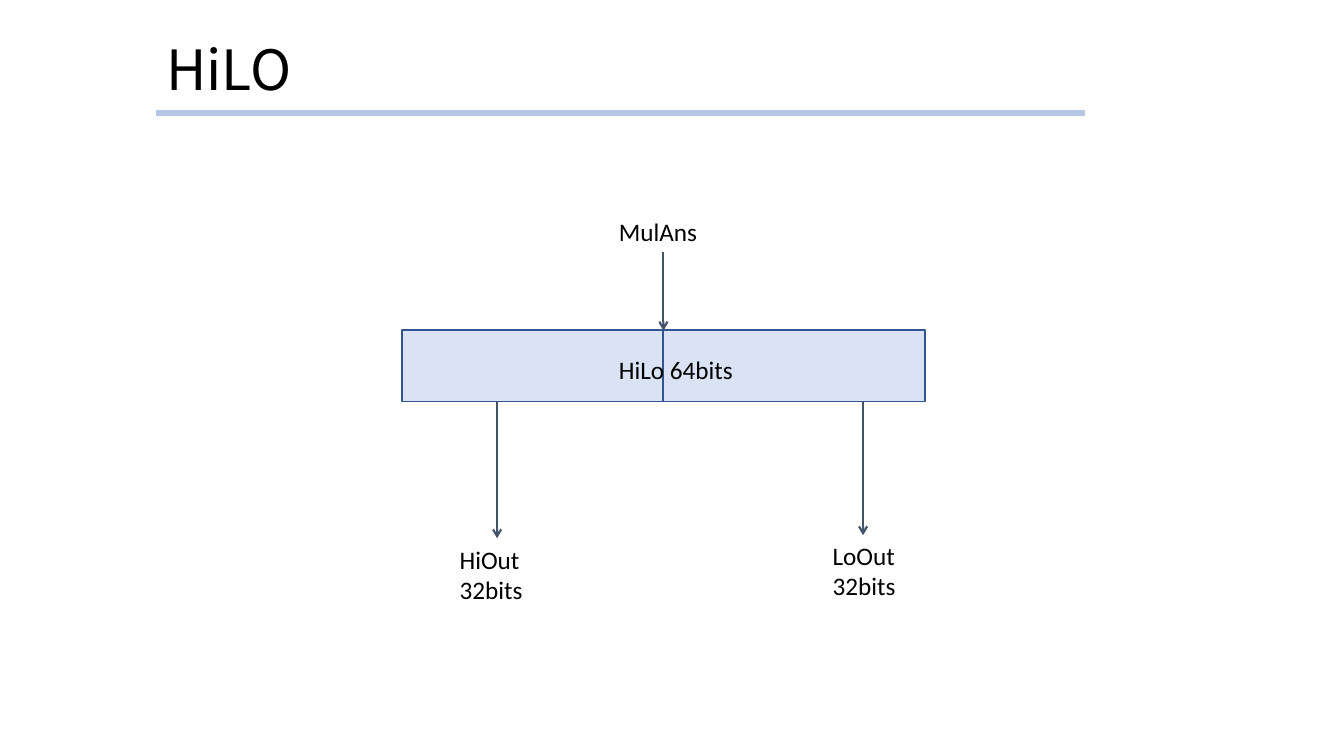
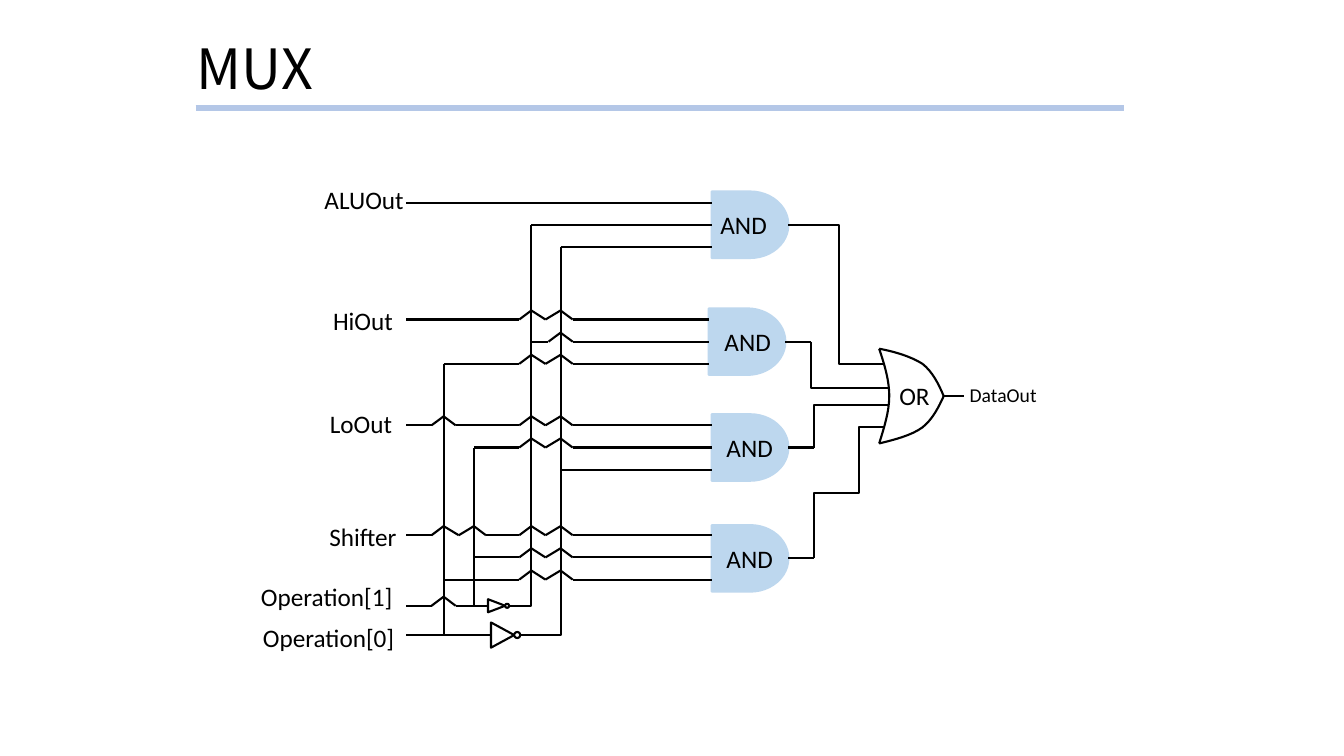
from dataclasses import dataclass
from itertools import pairwise

import lxml.etree
import pptx
import pptx.dml.color
import pptx.enum.shapes
import pptx.enum.text
import pptx.oxml.ns
import pptx.presentation
import pptx.shapes.autoshape
import pptx.shapes.connector
import pptx.slide
import pptx.text.text
import pptx.util

RGBColor = pptx.dml.color.RGBColor
Shape = pptx.shapes.autoshape.Shape
Connector = pptx.shapes.connector.Connector
Kind = pptx.enum.shapes.MSO_SHAPE
Link = pptx.enum.shapes.MSO_CONNECTOR
Align = pptx.enum.text.PP_ALIGN
Anchor = pptx.enum.text.MSO_ANCHOR
AutoSize = pptx.enum.text.MSO_AUTO_SIZE
Slide = pptx.slide.Slide
Deck = pptx.presentation.Presentation
Point = tuple[int, int]
qn = pptx.oxml.ns.qn

EMU_PER_PX = 9144  # 100 px to the inch
SLIDE_WIDTH, SLIDE_HEIGHT = 1333, 750
TITLE_ONLY = 5

BLACK = RGBColor(0x00, 0x00, 0x00)
WHITE = RGBColor(0xFF, 0xFF, 0xFF)
RULE_BLUE = RGBColor(0xB4, 0xC7, 0xE7)
REGISTER_FILL = RGBColor(0xDA, 0xE3, 0xF3)
REGISTER_LINE = RGBColor(0x32, 0x54, 0x91)
ARROW_GREY = RGBColor(0x44, 0x54, 0x6A)
GATE_BLUE = RGBColor(0xBD, 0xD7, 0xEE)

TITLE_FONT, BODY_FONT = "Noto Sans CJK SC", "Calibri"
TITLE_SIZE, BODY_SIZE, WIRE_WIDTH = 39.6, 18, 1.5

HOP_HALF_WIDTH, HOP_HEIGHT, HOP_MERGE_GAP = 12, 9, 30
INPUT_X, INPUT_STEP = 403, 22
GATE_WIDTH, GATE_HEIGHT, STUB = 76, 66, 25


@dataclass(frozen=True)
class Label:
    text: str
    left: int
    top: int
    width: int
    height: int = 40
    align: Align = Align.LEFT
    size: int = BODY_SIZE


@dataclass(frozen=True)
class Column:
    """A vertical wire; rows between top and hop_end hop over it."""
    x: int
    top: int
    bottom: int
    hop_end: int


@dataclass(frozen=True)
class Inverter:
    left: int
    middle: int
    length: int
    height: int
    bubble: int
    joint_x: int
    corner_x: int
    column: Column


@dataclass(frozen=True)
class Gate:
    left: int
    top: int
    first_row: int
    label_left: int
    sources: tuple[int, int, int]


@dataclass(frozen=True)
class Bend:
    start: Point
    end: Point
    adjust: tuple[int, ...]


OP0 = Column(440, 361, 630, 630)
OP1 = Column(470, 444, 601, 553)
NOT_OP1 = Column(527, 223, 601, 601)
NOT_OP0 = Column(556, 245, 630, 630)
COLUMNS = (OP0, OP1, NOT_OP1, NOT_OP0)

INVERTERS = (
    Inverter(484, OP1.bottom, 17, 13, 4, 452, 518, NOT_OP1),
    Inverter(487, OP0.bottom, 23, 25, 6, OP1.x, NOT_OP1.x, NOT_OP0),
)
GATES = (
    Gate(706, 190, 201, 675, (INPUT_X, NOT_OP1.x, NOT_OP0.x)),
    Gate(703, 306, 317, 679, (INPUT_X, NOT_OP1.x, OP0.x)),
    Gate(706, 411, 422, 681, (INPUT_X, OP1.x, NOT_OP0.x)),
    Gate(706, 521, 531, 681, (INPUT_X, OP1.x, OP0.x)),
)
GATE_OUTPUTS = (
    Bend((807, 223), (858, 361), (50000,)),
    Bend((804, 339), (858, 385), (0,)),
    Bend((807, 444), (858, 402), (0,)),
    Bend((858, 424), (807, 554), (10900, 50000)),
)
OR_INPUTS = ((877, 361), (881, 385), (881, 402), (877, 424))

# Each outline: a start, then two handles and an end for every cubic curve.
OR_OUTLINES = (
    ((872, 346), (888, 349), (904, 354), (915, 361), (925, 369), (931, 381), (936, 393)),
    ((872, 440), (888, 436), (904, 432), (915, 424), (925, 416), (931, 404), (936, 393)),
    ((872, 346), (877, 361), (882, 377), (882, 393), (882, 408), (877, 424), (872, 440)),
)

REGISTER_LABELS = (
    Label("MulAns", 604, 210, 110),
    Label("HiOut 32bits", 446, 535, 118, 71),
    Label("LoOut 32bits", 816, 531, 118, 71),
    Label("HiLo 64bits", 604, 347, 157),
)
REGISTER_ARROWS = (
    ((658, 250), (658, 328)),
    ((493, 399), (493, 534)),
    ((856, 399), (856, 531)),
)
MUX_LABELS = (
    Label("ALUOut", 312, 178, 126),
    Label("HiOut", 315, 298, 90, align=Align.CENTER),
    Label("LoOut", 313, 400, 90, align=Align.CENTER),
    Label("Shifter", 315, 512, 90, align=Align.CENTER),
    Label("Operation[1]", 249, 572, 161),
    Label("Operation[0]", 251, 612, 175),
    Label("DataOut", 950, 375, 90, 34, Align.CENTER, 14),
)


def px(length: float) -> pptx.util.Emu:
    return pptx.util.Emu(round(length * EMU_PER_PX))


def add_span(para: pptx.text.text._Paragraph, text: str, font: str, size: float) -> None:
    span = para.add_run()
    span.text = text
    span.font.name = font
    span.font.size = pptx.util.Pt(size)
    span.font.color.rgb = BLACK


def style(shape: Shape, line: RGBColor, width: float, fill: RGBColor | None = None) -> None:
    shape.shadow.inherit = False
    if fill is None:
        shape.fill.background()
    else:
        shape.fill.solid()
        shape.fill.fore_color.rgb = fill
    shape.line.color.rgb = line
    shape.line.width = pptx.util.Pt(width)


def add_preset(slide: Slide, kind: Kind, left: float, top: float, width: float, height: float,
               line: RGBColor, line_width: float, fill: RGBColor | None = None) -> Shape:
    shape = slide.shapes.add_shape(kind, px(left), px(top), px(width), px(height))
    style(shape, line, line_width, fill)
    return shape


def add_label(slide: Slide, label: Label, anchor: Anchor = Anchor.TOP) -> None:
    box = slide.shapes.add_textbox(px(label.left), px(label.top), px(label.width), px(label.height))
    frame = box.text_frame
    frame.word_wrap = True
    frame.vertical_anchor = anchor
    frame.auto_size = AutoSize.SHAPE_TO_FIT_TEXT if anchor == Anchor.TOP else AutoSize.NONE
    para = frame.paragraphs[0]
    para.alignment = label.align
    add_span(para, label.text, BODY_FONT, label.size)


def add_line(slide: Slide, start: Point, end: Point, color: RGBColor = BLACK,
             width: float = WIRE_WIDTH, arrow: bool = False,
             kind: Link = Link.STRAIGHT) -> Connector:
    connector = slide.shapes.add_connector(kind, *map(px, (*start, *end)))
    connector.line.color.rgb = color
    connector.line.width = pptx.util.Pt(width)
    properties = connector.element.spPr
    if arrow:
        lxml.etree.SubElement(properties.find(qn("a:ln")), qn("a:tailEnd"), type="arrow")
    lxml.etree.SubElement(properties, qn("a:effectLst"))
    return connector


def add_bend(slide: Slide, bend: Bend) -> None:
    """Draw an elbow with one adjustment for each inner segment."""
    connector = add_line(slide, bend.start, bend.end, kind=Link.ELBOW)
    geometry = connector.element.spPr.find(qn("a:prstGeom"))
    geometry.set("prst", f"bentConnector{len(bend.adjust) + 2}")
    guides = geometry.find(qn("a:avLst"))
    for number, value in enumerate(bend.adjust, 1):
        lxml.etree.SubElement(guides, qn("a:gd"), name=f"adj{number}", fmla=f"val {value}")


def add_curve(slide: Slide, points: tuple[Point, ...]) -> None:
    """Draw an open outline, turning every three segments into one cubic curve."""
    builder = slide.shapes.build_freeform(*points[0], scale=EMU_PER_PX)
    builder.add_line_segments(points[1:], close=False)
    shape = builder.convert_to_shape()
    style(shape, BLACK, WIRE_WIDTH)
    segments = list(shape.element.iter(qn("a:lnTo")))
    for first in range(0, len(segments), 3):
        curve = lxml.etree.Element(qn("a:cubicBezTo"))
        segments[first].addprevious(curve)
        for segment in segments[first:first + 3]:
            curve.append(segment[0])
            segment.getparent().remove(segment)


def add_row(slide: Slide, start_x: int, end_x: int, y: int) -> None:
    """Draw a horizontal wire that hops over the columns it crosses."""
    crossed = [column.x for column in COLUMNS
               if start_x < column.x < end_x and column.top < y < column.hop_end]
    points: list[Point] = [(start_x, y)]
    for index, x in enumerate(crossed):
        if index and x - crossed[index - 1] <= HOP_MERGE_GAP:
            points[-1] = ((x + crossed[index - 1]) // 2, y)
        else:
            points.append((x - HOP_HALF_WIDTH, y))
        points += [(x, y - HOP_HEIGHT), (x + HOP_HALF_WIDTH, y)]
    points.append((end_x, y))
    for start, end in pairwise(points):
        if start != end:
            add_line(slide, start, end)


def add_inverter(slide: Slide, inverter: Inverter) -> None:
    left, middle = inverter.left, inverter.middle
    tip = left + inverter.length
    add_row(slide, INPUT_X, inverter.joint_x, middle)
    add_line(slide, (inverter.joint_x, middle), (left, middle))
    triangle = add_preset(
        slide, Kind.ISOSCELES_TRIANGLE,
        left + (inverter.length - inverter.height) / 2, middle - inverter.length / 2,
        inverter.height, inverter.length, BLACK, WIRE_WIDTH)
    triangle.rotation = 90
    add_line(slide, (tip + inverter.bubble, middle), (inverter.corner_x, middle))
    add_preset(slide, Kind.OVAL, tip, middle - inverter.bubble / 2,
               inverter.bubble, inverter.bubble, BLACK, WIRE_WIDTH, WHITE)
    column = inverter.column
    add_bend(slide, Bend((inverter.corner_x, middle), (column.x, column.top), (100000,)))


def add_and_gate(slide: Slide, gate: Gate) -> None:
    add_preset(slide, Kind.FLOWCHART_DELAY, gate.left, gate.top, GATE_WIDTH, GATE_HEIGHT,
               GATE_BLUE, WIRE_WIDTH, GATE_BLUE)
    for row, source in enumerate(gate.sources):
        add_row(slide, source, gate.left, gate.first_row + row * INPUT_STEP)
    right, middle = gate.left + GATE_WIDTH, gate.top + GATE_HEIGHT // 2
    add_line(slide, (right, middle), (right + STUB, middle))
    label = Label("AND", gate.label_left, gate.top + 11, 125, 44, Align.CENTER)
    add_label(slide, label, Anchor.MIDDLE)


def add_or_gate(slide: Slide) -> None:
    for outline in OR_OUTLINES:
        add_curve(slide, outline)
    for x, y in OR_INPUTS:
        add_line(slide, (858, y), (x, y))
    add_line(slide, (936, 393), (956, 393))
    add_label(slide, Label("OR", 858, 361, 98, 63, Align.CENTER), Anchor.MIDDLE)


def add_titled_slide(deck: Deck, text: str, title_at: Point, rule_at: Point) -> Slide:
    slide = deck.slides.add_slide(deck.slide_layouts[TITLE_ONLY])
    title = slide.shapes.title
    title.left, title.top, title.width, title.height = map(px, (*title_at, 225, 40))
    frame = title.text_frame
    frame.auto_size = AutoSize.NONE
    frame.vertical_anchor = Anchor.MIDDLE
    para = frame.paragraphs[0]
    para.alignment = Align.LEFT
    para.line_spacing = 0.9
    add_span(para, text, TITLE_FONT, TITLE_SIZE)
    left, y = rule_at
    add_line(slide, rule_at, (left + 921, y), RULE_BLUE, 4.5)
    return slide


def build_register_slide(deck: Deck) -> None:
    slide = add_titled_slide(deck, "HiLO", (155, 52), (155, 112))
    for left in (493, 752):
        half = add_preset(slide, Kind.RECTANGLE, left, 233, 71, 260,
                          REGISTER_LINE, 1, REGISTER_FILL)
        half.rotation = 90
    for start, end in REGISTER_ARROWS:
        add_line(slide, start, end, ARROW_GREY, arrow=True)
    for label in REGISTER_LABELS:
        add_label(slide, label)


def build_mux_slide(deck: Deck) -> None:
    slide = add_titled_slide(deck, "MUX", (185, 51), (194, 107))
    for column in (OP0, OP1):
        add_line(slide, (column.x, column.top), (column.x, column.bottom))
    for inverter in INVERTERS:
        add_inverter(slide, inverter)
    for gate in GATES:
        add_and_gate(slide, gate)
    for bend in GATE_OUTPUTS:
        add_bend(slide, bend)
    add_or_gate(slide)
    for label in MUX_LABELS:
        add_label(slide, label)


def main() -> None:
    deck = pptx.Presentation()
    deck.slide_width, deck.slide_height = px(SLIDE_WIDTH), px(SLIDE_HEIGHT)
    build_register_slide(deck)
    build_mux_slide(deck)
    deck.save("out.pptx")


if __name__ == "__main__":
    main()
